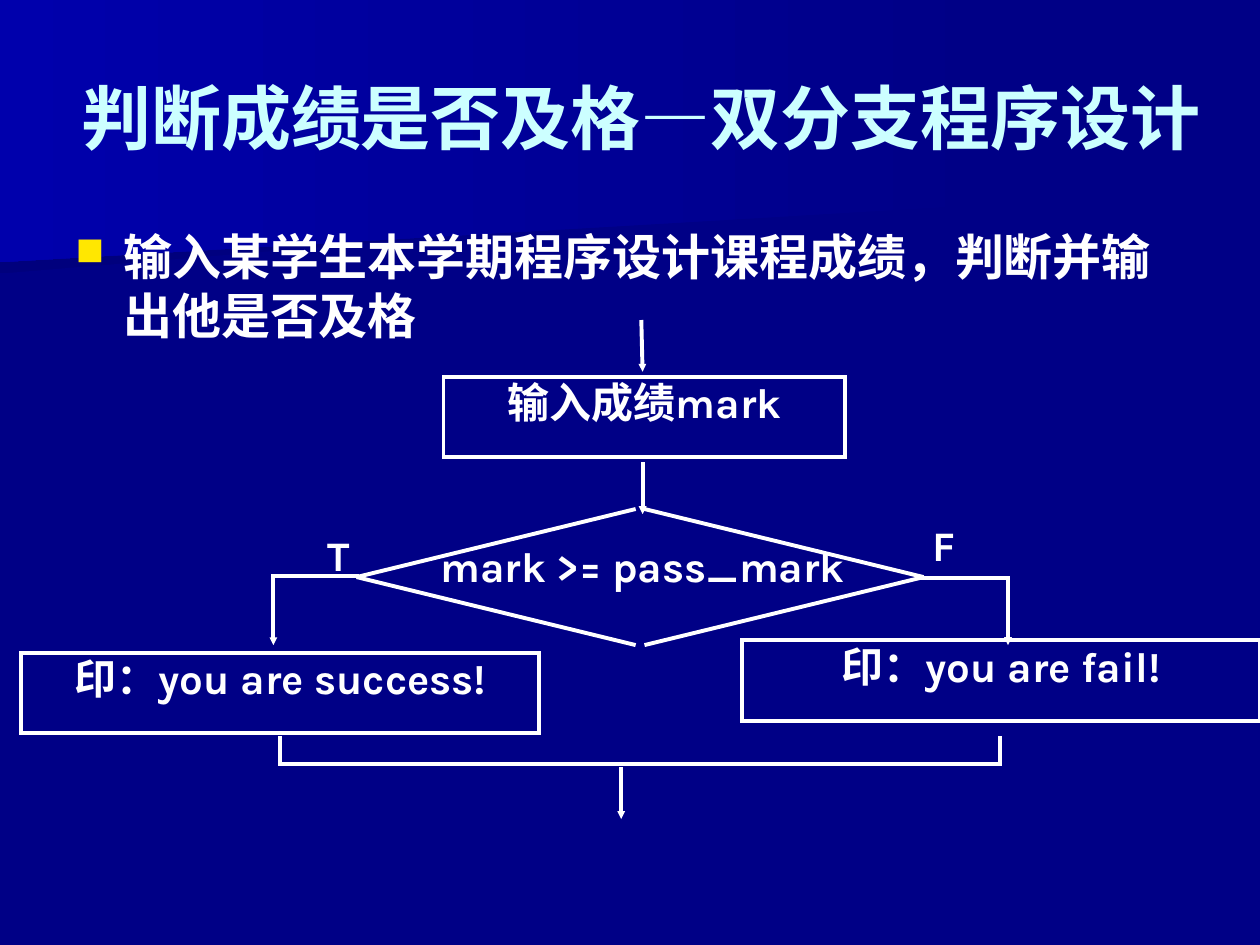
from lxml.etree import SubElement
from pptx import Presentation
from pptx.dml.color import RGBColor
from pptx.enum.shapes import MSO_CONNECTOR as CONNECTOR, MSO_SHAPE as SHAPE
from pptx.enum.text import MSO_ANCHOR as ANCHOR, PP_ALIGN as ALIGN
from pptx.oxml.ns import qn
from pptx.util import Inches, Pt


def paint(color_format, hex_color):
    color_format.rgb = RGBColor.from_string(hex_color)


def stroke(outline, arrow):
    paint(outline.line.color, "FFFFFF")
    outline.line.width = Pt(2.25)
    ln = outline.line._get_or_add_ln()
    SubElement(ln, qn("a:miter"), lim="800000")
    if arrow:
        SubElement(ln, qn("a:tailEnd"), type="triangle", w="sm", len="sm")


prs = Presentation()
prs.slide_width, prs.slide_height = Inches(10), Inches(7.5)
slide = prs.slides.add_slide(prs.slide_layouts[6])
slide.background.fill.solid()
paint(slide.background.fill.fore_color, "000086")
shapes = slide.shapes

bands = [
    ([(7.78, 1.53), (0, 2.17), (0, 1.01), (7.79, 1.01), (7.78, 1.28)], "00007D"),
    ([(7.92, 1.62), (0, 2.08), (0, 0), (7.92, 0)], "0000AC"),
]
paths = [
    ([(2.85, 4.57), (2.17, 4.57), (2.17, 5.12)], True),
    ([(7.31, 4.59), (8, 4.59), (8, 5.12)], True),
    ([(2.22, 5.84), (2.22, 6.06), (7.94, 6.06), (7.94, 5.84)], False),
]
outlines = [(points, True, glow) for points, glow in bands]
outlines += [(points, False, arrow) for points, arrow in paths]
for points, closed, style in outlines:
    corners = [(Inches(x), Inches(y)) for x, y in points]
    builder = shapes.build_freeform(*corners[0])
    builder.add_line_segments(corners[1:], close=closed)
    outline = builder.convert_to_shape()
    outline.shadow.inherit = False
    if closed:
        outline.fill.gradient()
        outline.fill.gradient_angle = 180
        for stop, color in zip(outline.fill.gradient_stops, ("000086", style)):
            paint(stop.color, color)
        outline.line.fill.background()
    else:
        outline.fill.background()
        stroke(outline, style)

tip_x, tip_y = 5.08, 4.58
lines = [
    (tip_x + side * 0.035, tip_y + end * 0.54, tip_x + side * 2.25, tip_y, False)
    for end in (-1, 1) for side in (-1, 1)
]
lines += [
    (5.09, 2.54, 5.1, 2.95, True),
    (5.1, 3.67, 5.1, 4.08, True),
    (4.93, 6.09, 4.93, 6.5, True),
]
for x1, y1, x2, y2, arrow in lines:
    flow = shapes.add_connector(CONNECTOR.STRAIGHT, *map(Inches, (x1, y1, x2, y2)))
    stroke(flow, arrow)
    SubElement(flow._element.spPr, qn("a:effectLst"))

title_format = {"size": Pt(40), "name": "Karla", "bold": True}
body_format = {**title_format, "size": Pt(28)}
label_format = {**title_format, "size": Pt(24)}
texts = [
    ("判断成绩是否及格—双分支程序设计", (0.5, 0.3, 9.17, 1.25), "title"),
    ("输入某学生本学期程序设计课程成绩，判断并输出他是否及格", (0.5, 1.75, 9, 2.38), "body"),
    ("输入成绩mark", (3.52, 2.99, 3.19, 0.64), "step"),
    ("mark >= pass_mark", (3.28, 4.29, 3.64, 0.52), "label"),
    ("T", (2.6, 4.2, 0.69, 0.36), "branch"),
    ("F", (6.96, 4.12, 1.06, 0.47), "label"),
    ("印：you are success!", (0.17, 5.18, 4.11, 0.64), "step"),
    ("印：you are fail!", (5.89, 5.08, 4.11, 0.64), "step"),
]
for words, place, role in texts:
    bounds = [Inches(length) for length in place]
    if role == "step":
        box = shapes.add_shape(SHAPE.RECTANGLE, *bounds)
        box.shadow.inherit = False
        box.fill.background()
        stroke(box, False)
    else:
        box = shapes.add_textbox(*bounds)
    frame = box.text_frame
    frame.word_wrap = True
    frame.vertical_anchor = ANCHOR.MIDDLE if role == "title" else ANCHOR.TOP
    if role not in ("title", "body"):
        for side in ("left", "top", "right", "bottom"):
            setattr(frame, f"margin_{side}", 0)
    paragraph = frame.paragraphs[0]
    paragraph.text = words
    paragraph.alignment = {"body": ALIGN.LEFT, "branch": ALIGN.JUSTIFY}.get(role, ALIGN.CENTER)
    if role == "body":
        pPr = paragraph._p.get_or_add_pPr()
        pPr.set("marL", str(Inches(0.38)))
        pPr.set("indent", str(Inches(-0.38)))
        SubElement(SubElement(pPr, qn("a:buClr")), qn("a:srgbClr"), val="FFE701")
        SubElement(pPr, qn("a:buSzPct"), val="80000")
        SubElement(pPr, qn("a:buChar"), char="■")
    font = paragraph.runs[0].font
    formats = {"title": title_format, "body": body_format}.get(role, label_format)
    for attribute, value in formats.items():
        setattr(font, attribute, value)
    paint(font.color, "CCFFFF" if role == "title" else "FFFFFF")

prs.save("out.pptx")
